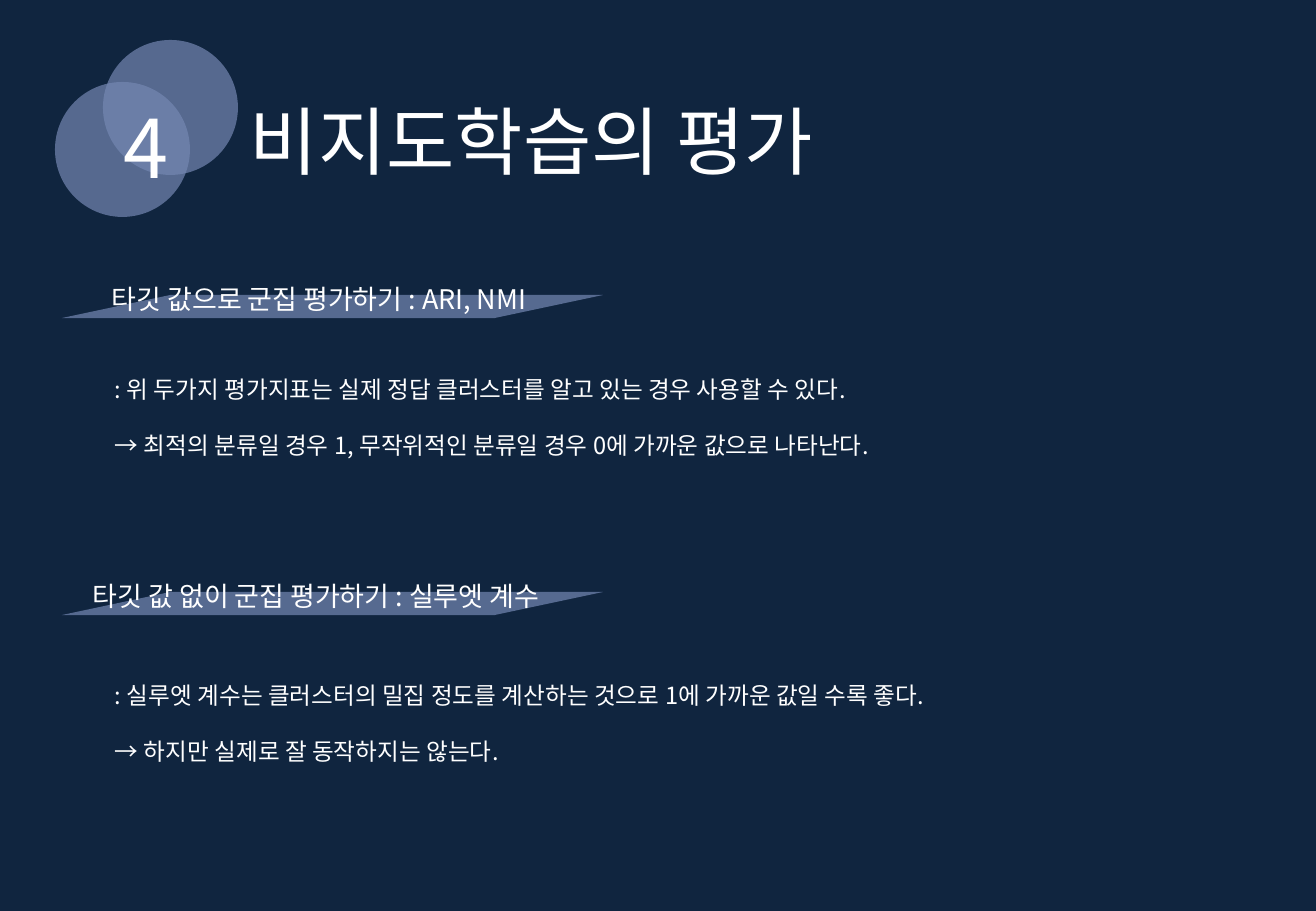
from dataclasses import dataclass

from pptx import Presentation
from pptx import util as u
from pptx.dml.color import RGBColor
from pptx.enum import shapes, text
from pptx.oxml.ns import qn
from lxml import etree

PX = 914400 / 121.5  # EMU per pixel


@dataclass(frozen=True)
class Theme:
    """Colours, font and type sizes of the slide."""
    background: str = "10253F"
    circle: str = "7487B2"
    band: str = "566A90"
    ink: str = "FFFFFF"
    font: str = "Noto Sans CJK KR"
    number: int = 48
    title: int = 44
    heading: int = 16
    body: int = 14
    leading: float = 1.27


def px(*lengths):
    """Turn pixel lengths into EMU."""
    return [u.Emu(round(n * PX)) for n in lengths]


def write(p, words, theme, size, align=text.PP_ALIGN.LEFT, before=0):
    """Write one formatted run into a paragraph."""
    p.alignment = align
    p.line_spacing = u.Pt(round(size * theme.leading, 1))
    p.space_before = u.Pt(before)
    r = p.add_run()
    r.text = words
    r.font.size = u.Pt(size)
    r.font.name = theme.font
    r.font.color.rgb = RGBColor.from_string(theme.ink)
    east_asian = etree.SubElement(r.font._element, qn("a:ea"))
    east_asian.set("typeface", theme.font)


class Canvas:
    """Draws styled elements on the current slide."""

    def __init__(self, slide, theme):
        """Keep the slide and theme, and paint the background."""
        self.s, self.theme = slide, theme
        fill = slide.background.fill
        fill.solid()
        fill.fore_color.rgb = RGBColor.from_string(theme.background)

    def shape(self, kind, box, color, opacity=100):
        """Add a plain filled shape without outline."""
        sp = self.s.shapes.add_shape(kind, *px(*box))
        sp.shadow.inherit = False
        sp.line.fill.background()
        sp.fill.solid()
        sp.fill.fore_color.rgb = RGBColor.from_string(color)
        if opacity < 100:
            srgb = sp._element.spPr.find(".//" + qn("a:srgbClr"))
            etree.SubElement(srgb, qn("a:alpha")).set("val", str(opacity * 1000))

    def label(self, box, lines, size, gap=0, **fmt):
        """Add a text box with one paragraph per line, set apart by gap."""
        tf = self.s.shapes.add_textbox(*px(*box)).text_frame
        tf.word_wrap = True
        for i, words in enumerate(lines):
            p = tf.add_paragraph() if i else tf.paragraphs[0]
            write(p, words, self.theme, size, before=gap if i else 0, **fmt)

    def section(self, band_top, heading_left, heading, body_top, lines):
        """Add a heading over its slanted band, with the body below."""
        self.shape(shapes.MSO_SHAPE.FLOWCHART_DATA, (62, band_top, 541, 23),
                   self.theme.band)
        self.label((heading_left, band_top - 20, 522, 45), [heading],
                   self.theme.heading)
        self.label((103, body_top, 931, 98), lines, self.theme.body, gap=15.4)


def main():
    """Build the slide and save it."""
    prs = Presentation()
    prs.slide_width, prs.slide_height = px(1316, 911)
    theme = Theme()
    c = Canvas(prs.slides.add_slide(prs.slide_layouts[6]), theme)

    for left, top in ((103, 40), (55, 82)):
        c.shape(shapes.MSO_SHAPE.FLOWCHART_CONNECTOR, (left, top, 135, 135),
                theme.circle, opacity=70)
    c.label((79, 86, 135, 111), ["4"], theme.number,
            align=text.PP_ALIGN.CENTER)
    c.label((238, 84, 842, 102), ["비지도학습의 평가"], theme.title)

    c.section(295, 100, "타깃 값으로 군집 평가하기 : ARI, NMI", 367, [
        ": 위 두가지 평가지표는 실제 정답 클러스터를 알고 있는 경우 사용할 수 있다.",
        "→ 최적의 분류일 경우 1, 무작위적인 분류일 경우 0에 가까운 값으로 나타난다.",
    ])
    c.section(592, 81, "타깃 값 없이 군집 평가하기 : 실루엣 계수", 673, [
        ": 실루엣 계수는 클러스터의 밀집 정도를 계산하는 것으로 1에 가까운 값일 수록 좋다.",
        "→ 하지만 실제로 잘 동작하지는 않는다.",
    ])
    prs.save("out.pptx")


main()
